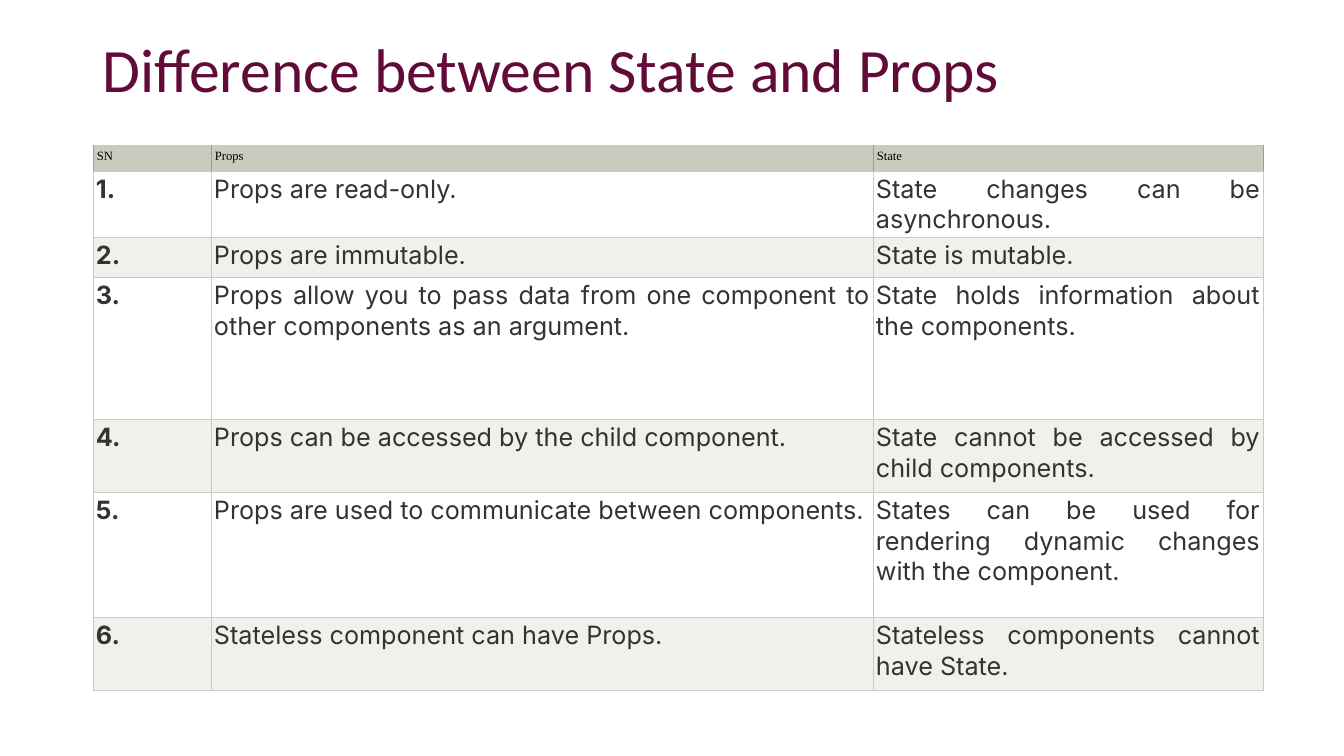
from lxml.etree import SubElement
from pptx import Presentation
from pptx.dml.color import RGBColor
from pptx.enum.text import MSO_ANCHOR, PP_ALIGN
from pptx.oxml.ns import qn
from pptx.util import Emu, Pt

PX = 914400 / 100.8
COLORS = {
    "title": "610B38",
    "header": "C7CCBE",
    "header_text": "000000",
    "header_side": "E06CE5",
    "grid": "C7CCBE",
    "odd": "FFFFFF",
    "even": "EFF1EB",
    "body": "333333",
}
COL_WIDTHS = [118, 662, 390]
ROW_HEIGHTS = [26, 66, 40, 142, 73, 125, 73]
ROWS = [
    ("SN", "Props", "State"),
    ("1.", "Props are read-only.", "State changes can be asynchronous."),
    ("2.", "Props are immutable.", "State is mutable."),
    ("3.", "Props allow you to pass data from one component to other components as an argument.",
     "State holds information about the components."),
    ("4.", "Props can be accessed by the child component.",
     "State cannot be accessed by child components."),
    ("5.", "Props are used to communicate between components.",
     "States can be used for rendering dynamic changes with the component."),
    ("6.", "Stateless component can have Props.", "Stateless components cannot have State."),
]


def px(n):
    return Emu(round(n * PX))


def add_run(p, text, font, size, color, bold=False):
    r = p.add_run()
    r.text = text
    r.font.name = font
    r.font.size = Pt(size)
    r.font.bold = bold
    r.font.color.rgb = RGBColor.from_string(COLORS[color])


prs = Presentation()
prs.slide_width, prs.slide_height = px(1344), px(756)
s = prs.slides.add_slide(prs.slide_layouts[6])

# Title
tf = s.shapes.add_textbox(px(93), px(34), px(1159), px(146)).text_frame
tf.word_wrap = True
tf.vertical_anchor = MSO_ANCHOR.TOP
p = tf.paragraphs[0]
p.line_spacing = 0.9
add_run(p, "Difference between State and Props", "Calibri", 44, "title")

# Comparison table
table = s.shapes.add_table(len(ROWS), len(COL_WIDTHS), px(93), px(145),
                           px(sum(COL_WIDTHS)), px(sum(ROW_HEIGHTS))).table
for col, width in zip(table.columns, COL_WIDTHS):
    col.width = px(width)
for row, height in zip(table.rows, ROW_HEIGHTS):
    row.height = px(height)

for i, texts in enumerate(ROWS):
    header = i == 0
    fill = "header" if header else "odd" if i % 2 else "even"
    for j, text in enumerate(texts):
        cell = table.cell(i, j)
        inset = px(4 if header else 3)
        cell.margin_left = cell.margin_right = inset
        cell.margin_top = cell.margin_bottom = inset
        p = cell.text_frame.paragraphs[0]
        if header:
            add_run(p, text, "Times New Roman", 9, "header_text")
        else:
            p.alignment = PP_ALIGN.JUSTIFY
            add_run(p, text, "Inter", 18, "body", bold=j == 0)

        # Borders come before the fill in the cell properties
        tcPr = cell._tc.get_or_add_tcPr()
        for side in ("lnL", "lnR", "lnT", "lnB"):
            color = "header_side" if header and side in ("lnL", "lnR") else "grid"
            ln = SubElement(tcPr, qn(f"a:{side}"), w=str(Pt(0.5)))
            SubElement(SubElement(ln, qn("a:solidFill")), qn("a:srgbClr"), val=COLORS[color])
        cell.fill.solid()
        cell.fill.fore_color.rgb = RGBColor.from_string(COLORS[fill])

prs.save("out.pptx")
